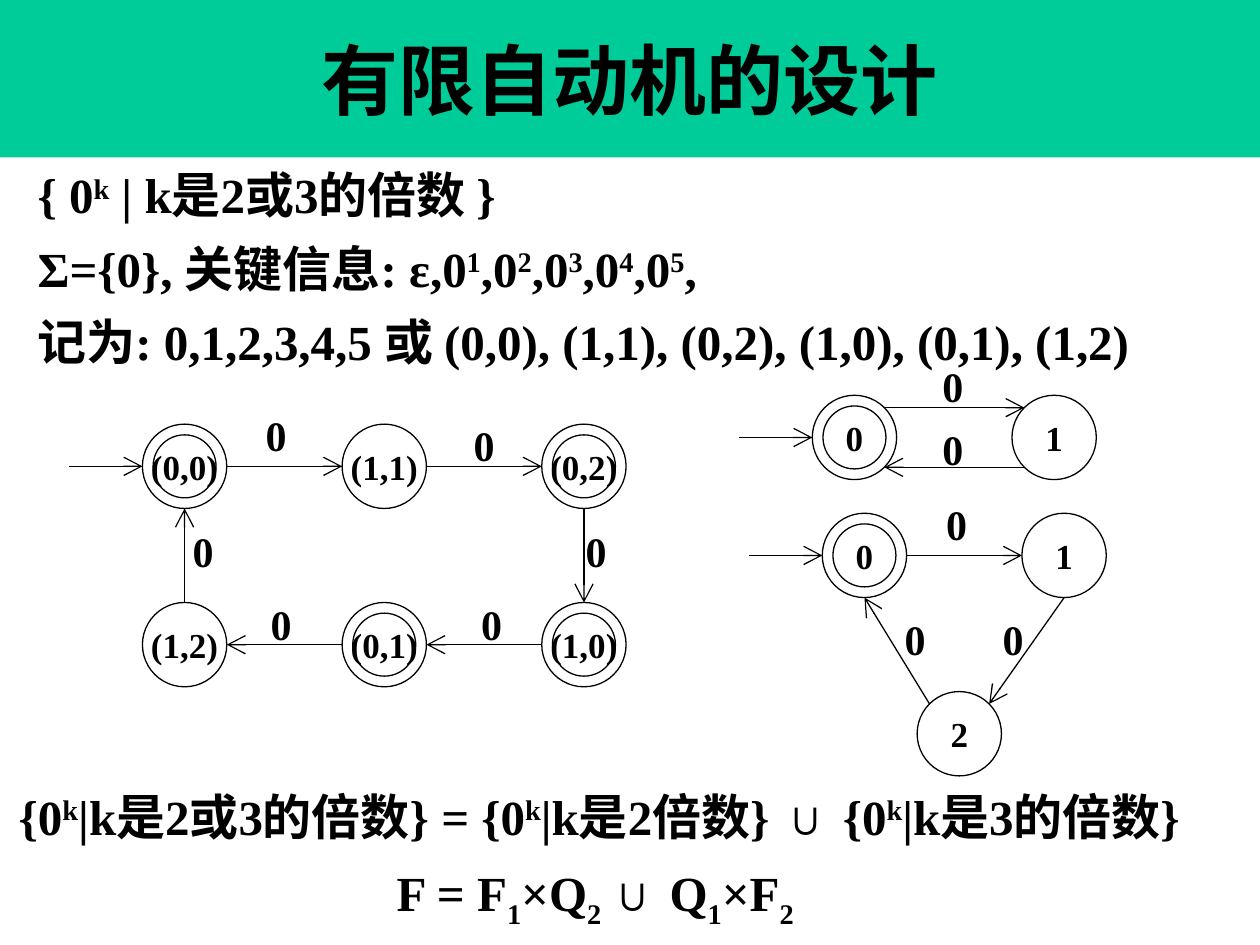
"""Build a slide on designing finite automata, with three state diagrams."""
from dataclasses import dataclass
from math import sqrt

from lxml.etree import SubElement
from pptx import Presentation
from pptx.dml.color import RGBColor
from pptx.enum.shapes import MSO_CONNECTOR, MSO_SHAPE
from pptx.enum.text import MSO_ANCHOR, PP_ALIGN
from pptx.oxml.ns import qn
from pptx.util import Pt


@dataclass(frozen=True)
class Theme:
    font: str = "Times New Roman"
    ink: RGBColor = RGBColor(0, 0, 0)
    banner: RGBColor = RGBColor(0x00, 0xCC, 0x99)
    title_size: float = 44
    body_size: float = 28
    label_size: float = 24
    state_size: float = 20
    line_width: float = 0.75
    paragraph_gap: float = 8.4
    superscript: int = 30000
    subscript: int = -25000


THEME = Theme()
TITLE = "有限自动机的设计"
BODY = [
    "{ 0~k~ | k是2或3的倍数 }",
    "Σ={0}, 关键信息: ε,0~1~,0~2~,0~3~,0~4~,0~5~,",
    "记为: 0,1,2,3,4,5 或 (0,0), (1,1), (0,2), (1,0), (0,1), (1,2)",
]
UNION = ["{0~k~|k是2或3的倍数} = {0~k~|k是2倍数} ∪ {0~k~|k是3的倍数}"]
FINAL_STATES = ["F = F~1~×Q~2 ~∪ Q~1~×F~2"]

STATE_RADIUS = 24.1
ACCEPT_RADIUS = 18
START_LENGTH = 42
PITCH = 114.1
ROW_PITCH = 101.9
LABEL_SIZE = (32.4, 36)
DIAGONAL = 1 / sqrt(2)
SITES = {
    "top": (0, -1), "bottom": (0, 1), "left": (-1, 0), "right": (1, 0),
    "top left": (-DIAGONAL, -DIAGONAL), "top right": (DIAGONAL, -DIAGONAL),
    "bottom left": (-DIAGONAL, DIAGONAL), "bottom right": (DIAGONAL, DIAGONAL),
}

AUTOMATA = [
    {
        "origin": (105.5, 266.5),
        "states": {"(0,0)": (0, 0), "(1,1)": (1, 0), "(0,2)": (2, 0),
                   "(1,0)": (2, 1), "(0,1)": (1, 1), "(1,2)": (0, 1)},
        "accepting": ["(0,0)", "(0,2)", "(1,0)", "(0,1)"],
        "edges": [
            ("(0,0)", "right", "(1,1)", "left", (144.7, 230.4)),
            ("(1,1)", "right", "(0,2)", "left", (263.5, 236.2)),
            ("(0,2)", "bottom", "(1,0)", "top", (327.6, 296.6)),
            ("(1,0)", "left", "(0,1)", "right", (267.8, 338.4)),
            ("(0,1)", "left", "(1,2)", "right", (147.6, 338.4)),
            ("(1,2)", "top", "(0,0)", "bottom", (103, 296.6)),
        ],
    },
    {
        "origin": (488.3, 250),
        "states": {"0": (0, 0), "1": (1, 0)},
        "accepting": ["0"],
        "edges": [
            ("0", "top right", "1", "top left", (531.4, 202.3)),
            ("1", "bottom left", "0", "bottom right", (531.4, 238.3)),
        ],
    },
    {
        "origin": (494, 317.4),
        "states": {"0": (0, 0), "1": (1, 0), "2": (0.475, 1)},
        "accepting": ["0"],
        "edges": [
            ("0", "right", "1", "left", (533.5, 281.5)),
            ("1", "bottom", "2", "top right", (565.9, 347)),
            ("2", "top left", "0", "bottom", (509.8, 347)),
        ],
    },
]


def style_paragraph(paragraph, size, alignment=PP_ALIGN.LEFT):
    paragraph.alignment = alignment
    paragraph.font.name = THEME.font
    paragraph.font.size = Pt(size)
    paragraph.font.bold = True
    paragraph.font.color.rgb = THEME.ink


def add_text(shapes, box, lines, size, shift=0, gap=0):
    frame = shapes.add_textbox(*map(Pt, box)).text_frame
    frame.word_wrap = True
    for index, line in enumerate(lines):
        paragraph = frame.add_paragraph() if index else frame.paragraphs[0]
        style_paragraph(paragraph, size)
        paragraph.space_before = Pt(gap)
        for position, text in enumerate(line.split("~")):
            if text:
                run = paragraph.add_run()
                run.text = text
                if position % 2:
                    run._r.get_or_add_rPr().set("baseline", str(shift))


def add_banner(shapes, width):
    banner = shapes.add_shape(MSO_SHAPE.RECTANGLE, 0, 0, width, Pt(90))
    banner.shadow.inherit = False
    banner.fill.solid()
    banner.fill.fore_color.rgb = THEME.banner
    banner.line.fill.background()
    banner.text_frame.text = TITLE
    banner.text_frame.vertical_anchor = MSO_ANCHOR.MIDDLE
    style_paragraph(banner.text_frame.paragraphs[0], THEME.title_size, PP_ALIGN.CENTER)


def add_circle(shapes, center, radius):
    left, top = (Pt(value - radius) for value in center)
    circle = shapes.add_shape(MSO_SHAPE.OVAL, left, top, Pt(2 * radius), Pt(2 * radius))
    circle.shadow.inherit = False
    circle.fill.background()
    circle.line.color.rgb = THEME.ink
    circle.line.width = Pt(THEME.line_width)
    return circle


def add_state(shapes, name, center, accepting):
    frame = add_circle(shapes, center, STATE_RADIUS).text_frame
    frame.margin_left = frame.margin_right = frame.margin_top = frame.margin_bottom = 0
    frame.word_wrap = False
    frame.vertical_anchor = MSO_ANCHOR.MIDDLE
    frame.text = name
    style_paragraph(frame.paragraphs[0], THEME.state_size, PP_ALIGN.CENTER)
    if accepting:
        add_circle(shapes, center, ACCEPT_RADIUS)


def add_arrow(shapes, start, end):
    arrow = shapes.add_connector(MSO_CONNECTOR.STRAIGHT, *map(Pt, (*start, *end)))
    arrow.line.color.rgb = THEME.ink
    arrow.line.width = Pt(THEME.line_width)
    SubElement(arrow.line._get_or_add_ln(), qn("a:tailEnd"), type="arrow", w="lg", len="lg")
    SubElement(arrow._element.spPr, qn("a:effectLst"))


def site_point(center, site):
    return tuple(c + STATE_RADIUS * d for c, d in zip(center, SITES[site]))


def add_automaton(shapes, automaton):
    left, top = automaton["origin"]
    centers = {name: (left + column * PITCH, top + row * ROW_PITCH)
               for name, (column, row) in automaton["states"].items()}
    for name, center in centers.items():
        add_state(shapes, name, center, name in automaton["accepting"])
    entry = site_point((left, top), "left")
    add_arrow(shapes, (entry[0] - START_LENGTH, top), entry)
    for source, source_site, target, target_site, label in automaton["edges"]:
        add_arrow(shapes, site_point(centers[source], source_site),
                  site_point(centers[target], target_site))
        add_text(shapes, (*label, *LABEL_SIZE), ["0"], THEME.label_size)


def main():
    presentation = Presentation()
    presentation.slide_width, presentation.slide_height = Pt(720), Pt(540)
    slide = presentation.slides.add_slide(presentation.slide_layouts[6])
    shapes = slide.shapes
    add_banner(shapes, presentation.slide_width)
    add_text(shapes, (14.4, 90.7, 648, 128), BODY, THEME.body_size,
             THEME.superscript, THEME.paragraph_gap)
    add_text(shapes, (3.6, 445.7, 691, 41), UNION, THEME.body_size,
             THEME.superscript, THEME.paragraph_gap)
    for automaton in AUTOMATA:
        add_automaton(shapes.add_group_shape().shapes, automaton)
    add_text(shapes, (219.6, 489.6, 242, 41), FINAL_STATES, THEME.body_size, THEME.subscript)
    presentation.save("out.pptx")


if __name__ == "__main__":
    main()
